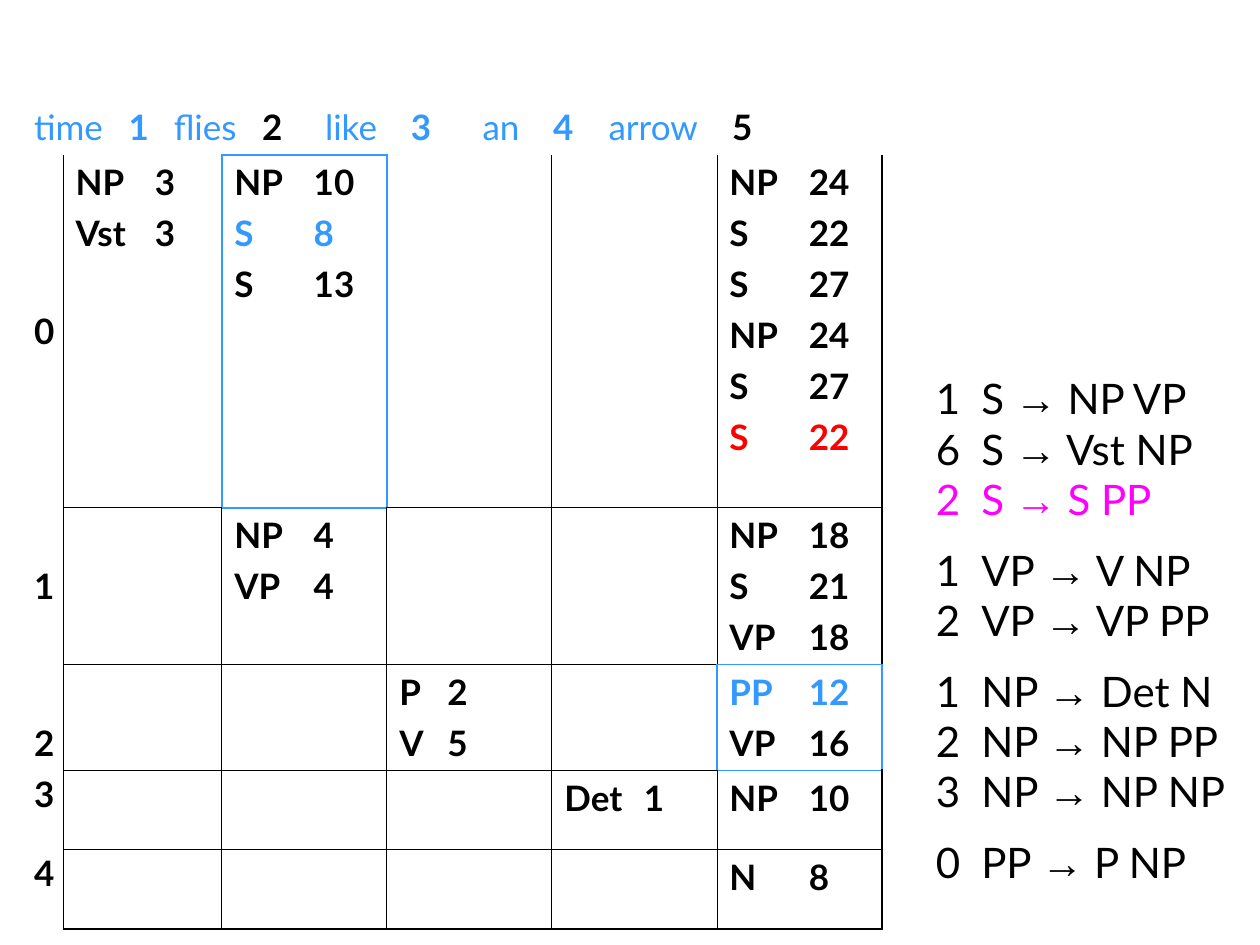
from typing import NamedTuple

from lxml.etree import SubElement
from pptx import Presentation
from pptx.dml.color import RGBColor
from pptx.enum.text import MSO_ANCHOR, PP_ALIGN
from pptx.oxml.ns import qn
from pptx.util import Inches, Pt

COLORS = {"black": "000000", "blue": "3399FF", "red": "FF0000", "magenta": "FF00FF"}
FONT, ARROW_FONT = "Lato", "Arial"
THIN, THICK = 0.45, 1.08
COLUMN_WIDTHS = [0.33, 1.26] + [1.31] * 4
ROW_HEIGHTS = [0.44, 2.8, 1.24, 0.84, 0.63, 0.63]
LAST_ROW, LAST_COLUMN = len(ROW_HEIGHTS) - 1, len(COLUMN_WIDTHS) - 1


class Word(NamedTuple):
    text: str
    tab: float
    color: str = "blue"
    bold: bool = False


class Entry(NamedTuple):
    symbol: str
    weight: int
    color: str = "black"


class RowLabel(NamedTuple):
    text: str
    anchor: MSO_ANCHOR
    spacing: float = 1.0


class Rule(NamedTuple):
    weight: int
    left: str
    right: str
    color: str = "black"
    starts_group: bool = False


SENTENCE = [
    Word("time", 0), Word("1", 0.75, bold=True),
    Word("flies", 1.11), Word("2", 1.81, "black", True),
    Word("like", 2.31), Word("3", 2.99, bold=True),
    Word("an", 3.56), Word("4", 4.12, bold=True),
    Word("arrow", 4.56), Word("5", 5.54, "black", True),
]
ROW_LABELS = [
    RowLabel("0", MSO_ANCHOR.MIDDLE),
    RowLabel("1", MSO_ANCHOR.MIDDLE),
    RowLabel("2", MSO_ANCHOR.BOTTOM),
    RowLabel("3", MSO_ANCHOR.TOP, 0.9),
    RowLabel("4", MSO_ANCHOR.TOP, 0.9),
]
# Parse entries by (row, column) of the table
PARSES = {
    (1, 1): [Entry("NP", 3), Entry("Vst", 3)],
    (1, 2): [Entry("NP", 10), Entry("S", 8, "blue"), Entry("S", 13)],
    (1, 5): [Entry("NP", 24), Entry("S", 22), Entry("S", 27),
             Entry("NP", 24), Entry("S", 27), Entry("S", 22, "red")],
    (2, 2): [Entry("NP", 4), Entry("VP", 4)],
    (2, 5): [Entry("NP", 18), Entry("S", 21), Entry("VP", 18)],
    (3, 3): [Entry("P", 2), Entry("V", 5)],
    (3, 5): [Entry("PP", 12, "blue"), Entry("VP", 16)],
    (4, 4): [Entry("Det", 1)],
    (4, 5): [Entry("NP", 10)],
    (5, 5): [Entry("N", 8)],
}
HIGHLIGHTED = {(1, 2), (3, 5)}
GRAMMAR = [
    Rule(1, "S", "NP VP"), Rule(6, "S", "Vst NP"), Rule(2, "S", "S PP", "magenta"),
    Rule(1, "VP", "V NP", starts_group=True), Rule(2, "VP", "VP PP"),
    Rule(1, "NP", "Det N", starts_group=True), Rule(2, "NP", "NP PP"),
    Rule(3, "NP", "NP NP"),
    Rule(0, "PP", "P NP", starts_group=True),
]
# Side name: neighbour offset, in the order the file format asks for
SIDES = {"L": (0, -1), "R": (0, 1), "T": (-1, 0), "B": (1, 0)}


def add_span(para, text: str, size: float, color: str,
             bold: bool = False, font: str = FONT) -> None:
    span = para.add_run()
    span.text = text
    span.font.name, span.font.size, span.font.bold = font, Pt(size), bold
    span.font.color.rgb = RGBColor.from_string(COLORS[color])


def add_tabs(para, positions: list[float]) -> None:
    tab_list = SubElement(para._p.get_or_add_pPr(), qn("a:tabLst"))
    for position in positions:
        SubElement(tab_list, qn("a:tab"), pos=str(Inches(position)), algn="l")


def next_para(frame, index: int):
    return frame.add_paragraph() if index else frame.paragraphs[0]


def edge_style(row: int, column: int, side: str) -> tuple[str, float] | None:
    """Colour and width of one cell edge, or None where no line shows."""
    down, across = SIDES[side]
    if HIGHLIGHTED & {(row, column), (row + down, column + across)}:
        return "blue", THICK
    if row == 0 or (column == 0 and side != "R") or (row == 1 and side == "T"):
        return None
    outer = (side == "R" and column == LAST_COLUMN) or (side == "B" and row == LAST_ROW)
    return "black", THICK if outer else THIN


def style_cell(cell, row: int, column: int) -> None:
    properties = cell._tc.get_or_add_tcPr()
    for side in SIDES:
        style = edge_style(row, column, side)
        width = Pt(style[1]) if style else 0
        line = SubElement(properties, qn(f"a:ln{side}"), w=str(width))
        if style:
            fill = SubElement(line, qn("a:solidFill"))
            SubElement(fill, qn("a:srgbClr"), val=COLORS[style[0]])
        else:
            SubElement(line, qn("a:noFill"))
    cell.fill.background()


def fill_sentence(cell, words: list[Word]) -> None:
    para = cell.text_frame.paragraphs[0]
    add_tabs(para, [word.tab for word in words[1:]])
    for index, word in enumerate(words):
        add_span(para, ("\t" if index else "") + word.text, 20, word.color, word.bold)


def fill_label(cell, label: RowLabel) -> None:
    cell.vertical_anchor = label.anchor
    para = cell.text_frame.paragraphs[0]
    para.alignment, para.line_spacing = PP_ALIGN.CENTER, label.spacing
    add_span(para, label.text, 20, "black", True)


def fill_entries(cell, entries: list[Entry], tab: float) -> None:
    for index, entry in enumerate(entries):
        para = next_para(cell.text_frame, index)
        add_tabs(para, [tab])
        if index:
            para.space_before = Pt(5)
        add_span(para, f"{entry.symbol}\t{entry.weight}", 20, entry.color, True)


def add_parse_chart(page) -> None:
    table = page.shapes.add_table(
        len(ROW_HEIGHTS), len(COLUMN_WIDTHS), Inches(0.17), Inches(0.79),
        Inches(sum(COLUMN_WIDTHS)), Inches(sum(ROW_HEIGHTS))).table
    table.first_row = table.horz_banding = False
    for column, width in zip(table.columns, COLUMN_WIDTHS):
        column.width = Inches(width)
    for row, height in zip(table.rows, ROW_HEIGHTS):
        row.height = Inches(height)
    for row in range(len(ROW_HEIGHTS)):
        for column in range(len(COLUMN_WIDTHS)):
            style_cell(table.cell(row, column), row, column)
    table.cell(0, 0).merge(table.cell(0, LAST_COLUMN))
    fill_sentence(table.cell(0, 0), SENTENCE)
    for row, label in enumerate(ROW_LABELS, start=1):
        fill_label(table.cell(row, 0), label)
    for (row, column), entries in PARSES.items():
        fill_entries(table.cell(row, column), entries, 0.38 if column == 3 else 0.63)


def add_grammar(page) -> None:
    box = page.shapes.add_textbox(Inches(7.33), Inches(2.91), Inches(2.67), Inches(4.18))
    box.text_frame.word_wrap = True
    for index, rule in enumerate(GRAMMAR):
        para = next_para(box.text_frame, index)
        add_tabs(para, [0.36])
        if rule.starts_group:
            para.line_spacing = 1.4
        add_span(para, f"{rule.weight}\t{rule.left} ", 24, rule.color)
        add_span(para, "→", 24, rule.color, font=ARROW_FONT)
        add_span(para, f" {rule.right}", 24, rule.color)


def main() -> None:
    deck = Presentation()
    deck.slide_width, deck.slide_height = Inches(10), Inches(7.5)
    page = deck.slides.add_slide(deck.slide_layouts[6])
    add_parse_chart(page)
    add_grammar(page)
    deck.save("out.pptx")


if __name__ == "__main__":
    main()
